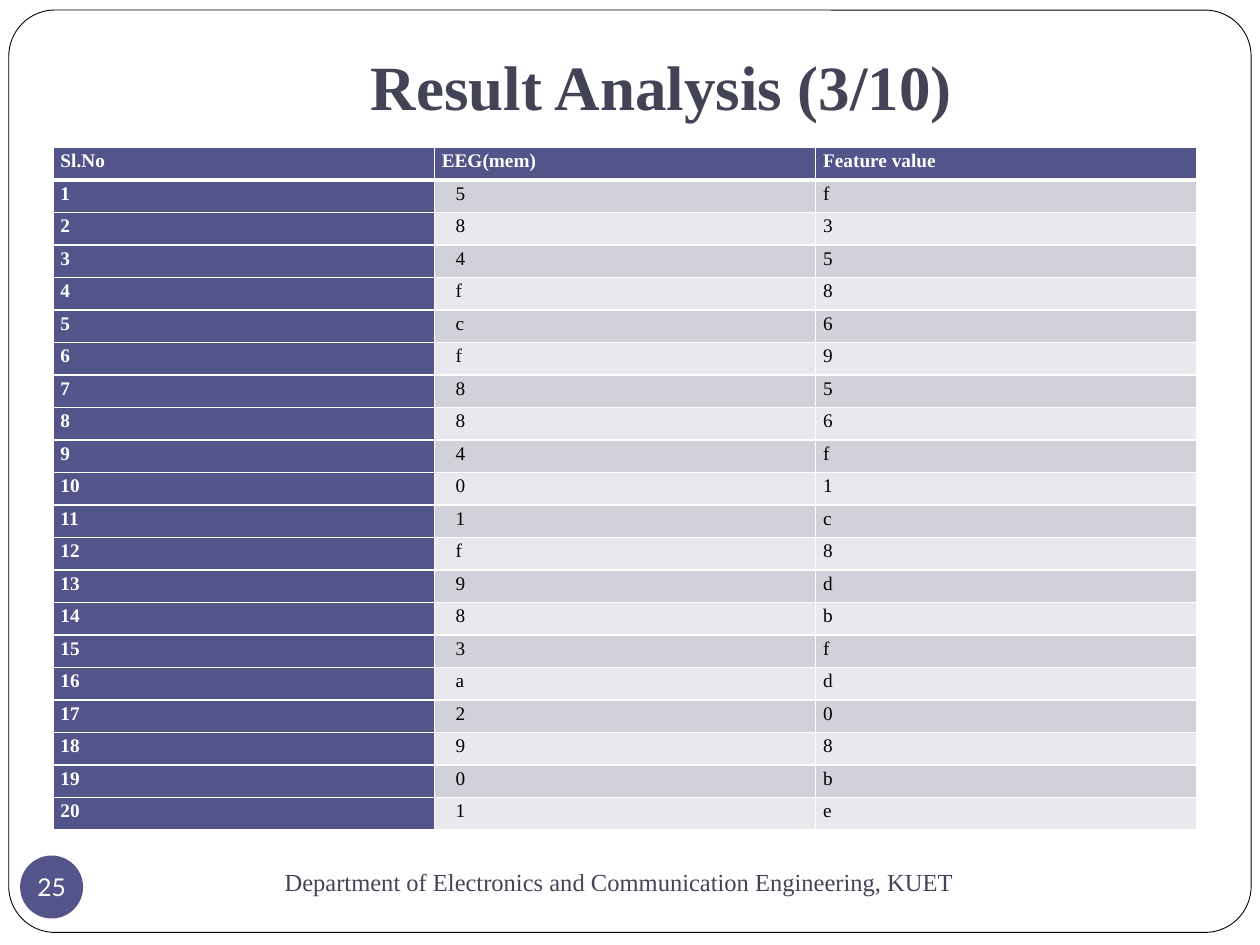
from dataclasses import dataclass

from lxml import etree
from pptx import Presentation
from pptx.dml.color import RGBColor
from pptx.enum.shapes import MSO_SHAPE
from pptx.enum.text import MSO_ANCHOR, PP_ALIGN
from pptx.oxml.ns import qn
from pptx.util import Inches, Pt

ROUNDED, OVAL = MSO_SHAPE.ROUNDED_RECTANGLE, MSO_SHAPE.OVAL
CENTER, LEFT = PP_ALIGN.CENTER, PP_ALIGN.LEFT
MIDDLE, BOTTOM = MSO_ANCHOR.MIDDLE, MSO_ANCHOR.BOTTOM


@dataclass(frozen=True)
class Theme:
    white: str = "FFFFFF"
    black: str = "000000"
    ink: str = "424456"
    accent: str = "53548A"
    bands: tuple = ("D1D1DA", "E9E9ED")
    serif: str = "Times New Roman"
    sans: str = "Lato"
    title_size: int = 36
    footer_size: int = 14
    table_size: int = 11


THEME = Theme()
HEADINGS = ("Sl.No", "EEG(mem)", "Feature value")
EEG = "584fcf88401f983a2901"
FEATURES = "35869"  # replaced below by the full column
FEATURES = "f35869" "56f1c8dbfd08be"
COLUMN_INSETS = (0.06, 0.17, 0.06)


def write(frame, text, size, color, font=THEME.serif, bold=False, align=CENTER):
    frame.text = text
    paragraph = frame.paragraphs[0]
    paragraph.alignment = align
    style = paragraph.runs[0].font
    style.name, style.size, style.bold = font, Pt(size), bold
    style.color.rgb = RGBColor.from_string(color)
    return paragraph


def add_borders(cell, widths):
    """Draw white borders; widths gives points for left, right, top, bottom."""
    properties = cell._tc.get_or_add_tcPr()
    for side, width in zip("LRTB", widths):
        line = etree.SubElement(properties, qn(f"a:ln{side}"), w=str(Pt(width)))
        fill = etree.SubElement(line, qn("a:solidFill"))
        etree.SubElement(fill, qn("a:srgbClr"), val=THEME.white)


prs = Presentation()
prs.slide_width, prs.slide_height = Inches(10), Inches(7.5)
slide = prs.slides.add_slide(prs.slide_layouts[6])
shapes = slide.shapes

frame_outline = shapes.add_shape(
    ROUNDED, Inches(0.07), Inches(0.08), Inches(9.86), Inches(7.32))
frame_outline.adjustments[0] = 0.05
frame_outline.shadow.inherit = False
frame_outline.fill.solid()
frame_outline.fill.fore_color.rgb = RGBColor.from_string(THEME.white)
frame_outline.line.color.rgb = RGBColor.from_string(THEME.black)
frame_outline.line.width = Pt(0.5)

title = shapes.add_textbox(
    Inches(1), Inches(0.3), Inches(8.5), Inches(0.78)).text_frame
title.word_wrap = True
title.vertical_anchor = BOTTOM
title.margin_bottom = Inches(0.1)
write(title, "Result Analysis (3/10)", THEME.title_size, THEME.ink, bold=True)

footer = shapes.add_textbox(
    Inches(1), Inches(6.75), Inches(7.83), Inches(0.5)).text_frame
footer.word_wrap = True
footer.vertical_anchor = MIDDLE
write(footer, "Department of Electronics and Communication Engineering, KUET",
      THEME.footer_size, THEME.ink)

page_badge = shapes.add_shape(
    OVAL, Inches(0.16), Inches(6.79), Inches(0.5), Inches(0.5))
page_badge.shadow.inherit = False
page_badge.fill.solid()
page_badge.fill.fore_color.rgb = RGBColor.from_string(THEME.accent)
page_badge.line.fill.background()
page_number = page_badge.text_frame
page_number.word_wrap = False
page_number.vertical_anchor = MIDDLE
page_number.margin_left = page_number.margin_right = 0
page_number.margin_top = page_number.margin_bottom = 0
write(page_number, "25", THEME.footer_size, THEME.white, font=THEME.sans)

records = [HEADINGS]
for number, (eeg, feature) in enumerate(zip(EEG, FEATURES), start=1):
    records.append((str(number), eeg, feature))

results = shapes.add_table(
    len(records), len(HEADINGS),
    Inches(0.42), Inches(1.17), Inches(9.08), Inches(5.42)).table
for row, record in enumerate(records):
    for column, value in enumerate(record):
        cell = results.cell(row, column)
        is_heading = row == 0 or column == 0
        inset = 0.06 if row == 0 else COLUMN_INSETS[column]
        cell.margin_left, cell.margin_right = Inches(inset), Inches(0.06)
        cell.margin_top = cell.margin_bottom = 0
        add_borders(cell, (1, 1, 3 if row == 1 else 1, 3 if row == 0 else 1))
        cell.fill.solid()
        cell.fill.fore_color.rgb = RGBColor.from_string(
            THEME.accent if is_heading else THEME.bands[(row - 1) % 2])
        entry = write(cell.text_frame, value, THEME.table_size,
                      THEME.white if is_heading else THEME.black,
                      bold=is_heading, align=LEFT)
        entry.line_spacing = 1.15

prs.save("out.pptx")
